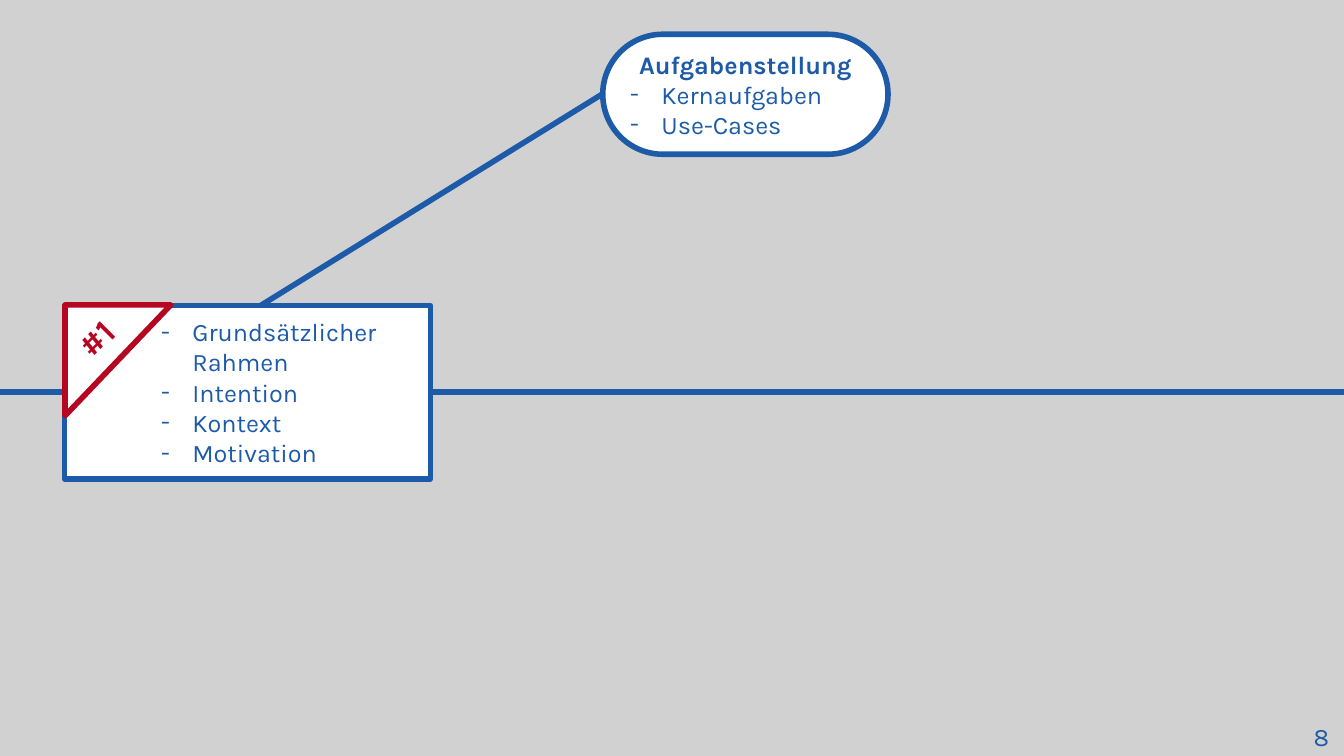
from lxml import etree
from pptx import Presentation
from pptx import util as u
from pptx.dml.color import RGBColor
from pptx.enum import shapes, text
from pptx.oxml.ns import qn

BLUE = RGBColor(0x1D, 0x5B, 0xA8)
RED = RGBColor(0xB5, 0x06, 0x22)
WHITE = RGBColor(0xFF, 0xFF, 0xFF)
GREY = RGBColor(0xD1, 0xD1, 0xD1)

CELL = u.Inches(0.1)  # side of one grid cell
COLUMNS, ROWS = 133.33, 75
LINE_WIDTH = u.Pt(4)
HANGING = 3.1
AXIS_ROW = 38.9


def grid(*cells):
    return [round(cell * CELL) for cell in cells]


def write(box, lines, color, size=18, indent=HANGING):
    """Fill box with (text, is_bold, is_bullet) lines, centred unless bulleted."""
    frame = box.text_frame
    layout = {"word_wrap": True, "vertical_anchor": text.MSO_ANCHOR.MIDDLE}
    for name, value in layout.items():
        setattr(frame, name, value)
    for index, (words, is_bold, is_bullet) in enumerate(lines):
        para = frame.add_paragraph() if index else frame.paragraphs[0]
        para.alignment = text.PP_ALIGN.LEFT if is_bullet else text.PP_ALIGN.CENTER
        if is_bullet:
            margin, hanging = grid(indent, -HANGING)
            properties = para._p.get_or_add_pPr()
            properties.set("marL", str(margin))
            properties.set("indent", str(hanging))
            etree.SubElement(properties, qn("a:buFont")).set("typeface", "Karla")
            etree.SubElement(properties, qn("a:buChar")).set("char", "-")
        span = para.add_run()
        span.text = words
        span.font.color.rgb = color
        for name, value in {"name": "Karla", "size": u.Pt(size), "bold": is_bold}.items():
            setattr(span.font, name, value)


deck = Presentation()
deck.slide_width, deck.slide_height = grid(COLUMNS, ROWS)
page = deck.slides.add_slide(deck.slide_layouts[6])
page.background.fill.solid()
page.background.fill.fore_color.rgb = GREY

# Branch to the task and the horizontal timeline
for ends in [(22, 32.7, 59.8, 9.3), (0, AXIS_ROW, COLUMNS, AXIS_ROW)]:
    line = page.shapes.add_connector(shapes.MSO_CONNECTOR.STRAIGHT, *grid(*ends))
    line.line.color.rgb = BLUE
    line.line.width = LINE_WIDTH
    etree.SubElement(line._element.spPr, qn("a:effectLst"))

# Outlined shapes: task pill, frame card and its corner flag
KINDS = shapes.MSO_SHAPE
outlines = {
    "task": (KINDS.ROUNDED_RECTANGLE, (59.8, 3.4, 28.3, 11.9), BLUE, 0),
    "card": (KINDS.RECTANGLE, (6.4, 30.3, 36.3, 17.2), BLUE, 0),
    "flag": (KINDS.RIGHT_TRIANGLE, (6.2, 30.5, 11, 10.5), RED, 90),
}
drawn = {}
for name, (kind, place, color, rotation) in outlines.items():
    shape = page.shapes.add_shape(kind, *grid(*place))
    shape.shadow.inherit = False
    shape.rotation = rotation
    shape.fill.solid()
    shape.fill.fore_color.rgb = WHITE
    shape.line.color.rgb = color
    shape.line.width = LINE_WIDTH
    drawn[name] = shape

drawn["task"].adjustments[0] = 0.5
write(drawn["task"], [("Aufgabenstellung", True, False),
                      ("Kernaufgaben", False, True),
                      ("Use-Cases", False, True)], BLUE)

flag_label = page.shapes.add_textbox(*grid(1, 31, 17, 5))
flag_label.rotation = 315
write(flag_label, [("#1", True, False)], RED, size=24)

topics = page.shapes.add_textbox(*grid(10, 30.3, 29.2, 17.2))
names = ["Grundsätzlicher Rahmen", "Intention", "Kontext", "Motivation"]
write(topics, [(name, False, True) for name in names], BLUE, indent=5 + HANGING)

page_number = page.shapes.add_textbox(*grid(129.1, 71.1, 4, 4))
write(page_number, [("8", False, False)], BLUE)

deck.save("out.pptx")
